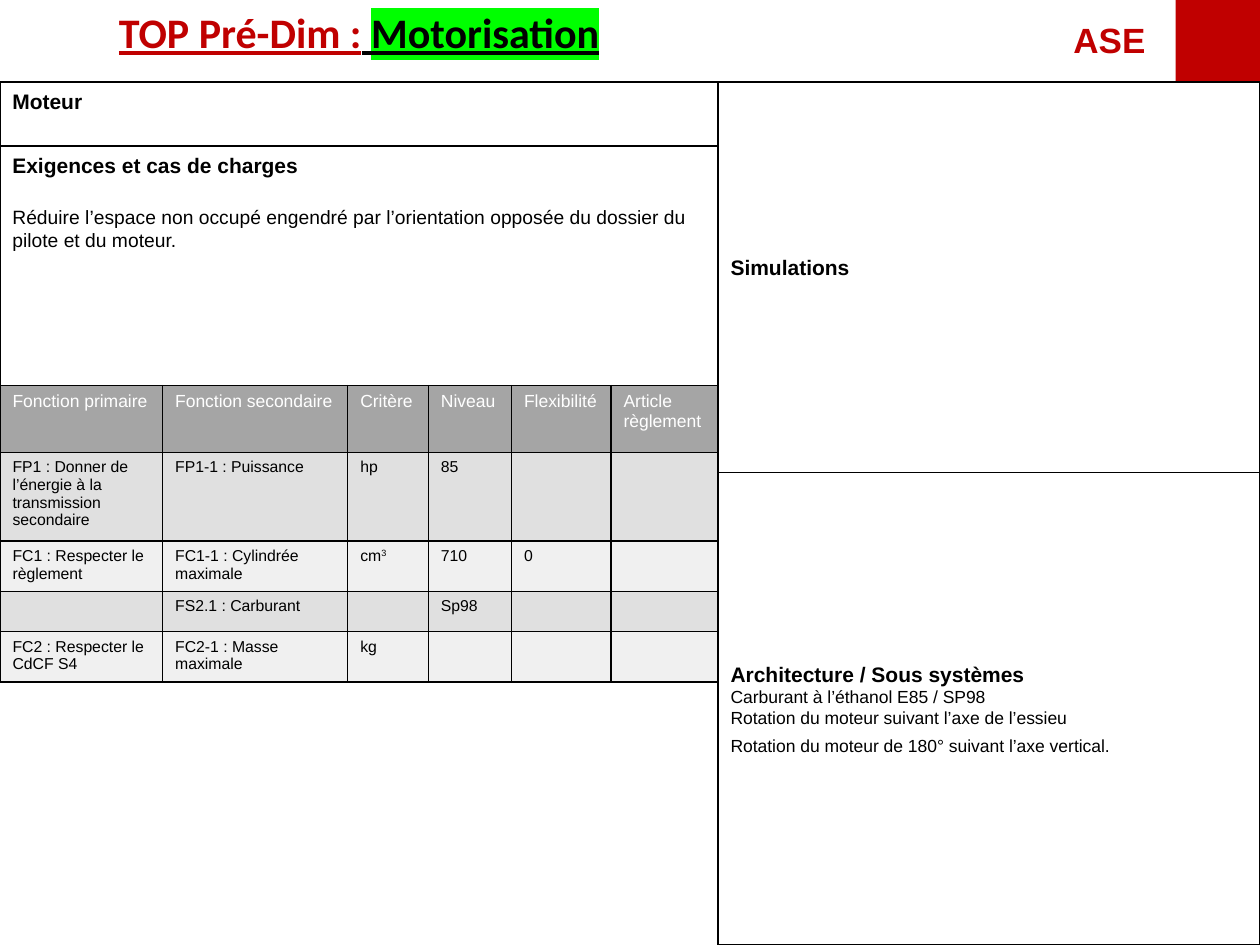
from dataclasses import dataclass

from lxml.etree import SubElement
from pptx import Presentation
from pptx.dml.color import RGBColor as RGB
from pptx.enum.shapes import MSO_SHAPE as Shape
from pptx.enum.text import MSO_ANCHOR as Anchor, MSO_AUTO_SIZE as Fit, PP_ALIGN as Align
from pptx.oxml.ns import qn
from pptx.util import Pt


@dataclass(frozen=True)
class Theme:
    font: str = "Arial"
    head: str = "Calibri"
    red: str = "C00000"
    ink: str = "000000"
    white: str = "FFFFFF"
    mark: str = "00FF00"
    gray: str = "A5A5A5"
    bands: tuple = ("E0E0E0", "F0F0F0")
    title: int = 24
    tag: int = 20
    label: int = 12
    note: int = 11
    small: int = 10
    cell: int = 9
    line: int = 1


T = Theme()


def tint(parent, name, color):
    fill = SubElement(parent, qn(name))
    SubElement(fill, qn("a:srgbClr"), val=color)
    return fill


def write(para, text, size=T.small, font=T.font, color=T.ink, bold=False,
          line=None, mark=None, base=None, align=None, before=0):
    """Add one run to a paragraph, with its format."""
    if align is not None:
        para.alignment = align
    if before:
        para.space_before = Pt(before)
    run = para.add_run()
    run.text = text
    run.font.size, run.font.name = Pt(size), font
    run.font.bold, run.font.underline = bold, line
    run.font.color.rgb = RGB.from_string(color)
    props = run.font._element
    if mark:
        props.find(qn("a:solidFill")).addnext(tint(props, "a:highlight", mark))
    if base:
        props.set("baseline", str(base * 1000))


def panel(slide, box, label, notes=(), anchor=Anchor.TOP, foot=3.6):
    """Framed box: a bold label, then (text, format) notes below it."""
    shape = slide.shapes.add_shape(Shape.RECTANGLE, *map(Pt, box))
    shape.shadow.inherit = False
    shape.fill.background()
    shape.line.color.rgb = RGB.from_string(T.ink)
    shape.line.width = Pt(T.line)
    frame = shape.text_frame
    frame.word_wrap, frame.vertical_anchor = True, anchor
    frame.margin_bottom = Pt(foot)
    write(frame.paragraphs[0], label, size=T.label, bold=True, align=Align.LEFT)
    for text, style in notes:
        write(frame.add_paragraph(), text, align=Align.LEFT, **style)


def header(slide, box, split):
    """Title over the left column, tag and red block at the right."""
    left, top, width, height = box
    title = slide.shapes.title
    title.left, title.top, title.width, title.height = map(Pt, (left, top, split, 36))
    frame = title.text_frame
    frame.word_wrap, frame.auto_size = True, Fit.NONE
    frame.vertical_anchor = Anchor.TOP
    para = frame.paragraphs[0]
    style = dict(size=T.title, font=T.head, bold=True, line=True, align=Align.CENTER)
    write(para, "TOP Pré-Dim :", color=T.red, **style)
    write(para, " ", **style)
    write(para, "Motorisation", mark=T.mark, **style)

    # Tag and block
    side, span = 48.2, 65.5
    edge = left + width - side
    tag = slide.shapes.add_textbox(*map(Pt, (edge - span, top + 7.2, span, 31.7)))
    tag.text_frame.word_wrap = True
    write(tag.text_frame.paragraphs[0], "ASE", size=T.tag, color=T.red, bold=True)
    block = slide.shapes.add_shape(Shape.RECTANGLE, *map(Pt, (edge, top, side, height)))
    block.shadow.inherit = False
    block.fill.solid()
    block.fill.fore_color.rgb = RGB.from_string(T.red)
    block.line.fill.background()


def frame_cell(cell, color):
    """Cell borders on all sides, then the fill."""
    props = cell._tc.get_or_add_tcPr()
    for side in ("a:lnL", "a:lnR", "a:lnT", "a:lnB"):
        tint(SubElement(props, qn(side), w=str(Pt(T.line))), "a:solidFill", T.ink)
    cell.fill.solid()
    cell.fill.fore_color.rgb = RGB.from_string(color)


def grid(slide, box, cols, rows, data):
    """Table of functions: gray head row, banded body rows."""
    table = slide.shapes.add_table(len(rows), len(cols), *map(Pt, box)).table
    table.horz_banding = False
    for col, width in zip(table.columns, cols):
        col.width = Pt(width)
    for r, (height, words) in enumerate(zip(rows, data)):
        table.rows[r].height = Pt(height)
        for c, text in enumerate(words):
            cell = table.cell(r, c)
            frame_cell(cell, T.bands[(r - 1) % 2] if r else T.gray)
            para = cell.text_frame.paragraphs[0]
            size, color = (T.cell, T.ink) if r else (T.small, T.white)
            if not text:
                SubElement(para._p, qn("a:endParaRPr"), sz=str(size * 100))
                continue
            # A caret marks a superscript
            stem, _, power = text.partition("^")
            write(para, stem, size=size, color=color)
            if power:
                write(para, power, size=size, color=color, base=30)


DATA = [
    ("Fonction primaire", "Fonction secondaire", "Critère", "Niveau", "Flexibilité",
     "Article règlement"),
    ("FP1 : Donner de l’énergie à la transmission secondaire", "FP1-1 : Puissance",
     "hp", "85", "", ""),
    ("FC1 : Respecter le règlement", "FC1-1 : Cylindrée maximale", "cm^3", "710", "0", ""),
    ("", "FS2.1 : Carburant", "", "Sp98", "", ""),
    ("FC2 : Respecter le CdCF S4", "FC2-1 : Masse maximale", "kg", "", "", ""),
]


def needs(slide, box):
    """Left column: engine, requirements, table."""
    left, top, width, height = box
    first, second = 36.7, 136.8
    panel(slide, (left, top, width, first), "Moteur")
    panel(slide, (left, top + first, width, second), "Exigences et cas de charges", [
        ("Réduire l’espace non occupé engendré par l’orientation opposée du dossier "
         "du pilote et du moteur.", dict(size=T.note, before=16))])
    cols = (92.9, 105.8, 46.1, 47.5, 56.9, 61.2)
    rows = (38.2, 47.5, 27.5, 23, 27.5)
    grid(slide, (left, top + first + second, width, sum(rows)), cols, rows, DATA)


def design(slide, box):
    """Right column: simulations over architecture."""
    left, top, width, height = box
    upper = 223.2
    panel(slide, (left, top, width, upper), "Simulations", anchor=Anchor.MIDDLE, foot=15)
    panel(slide, (left, top + upper, width, height - upper),
          "Architecture / Sous systèmes", [
              ("Carburant à l’éthanol E85 / SP98", {}),
              ("Rotation du moteur suivant l’axe de l’essieu", {}),
              ("Rotation du moteur de 180° suivant l’axe vertical.", dict(before=4))],
          anchor=Anchor.MIDDLE)


def main():
    deck = Presentation()
    wide, tall, split, top = 720, 540, 410.4, 46.8
    deck.slide_width, deck.slide_height = Pt(wide), Pt(tall)
    slide = deck.slides.add_slide(deck.slide_layouts[5])
    header(slide, (0, 0, wide, top), split)
    needs(slide, (0, top, split, tall - top))
    design(slide, (split, top, wide - split, tall - top))
    deck.save("out.pptx")


if __name__ == "__main__":
    main()
